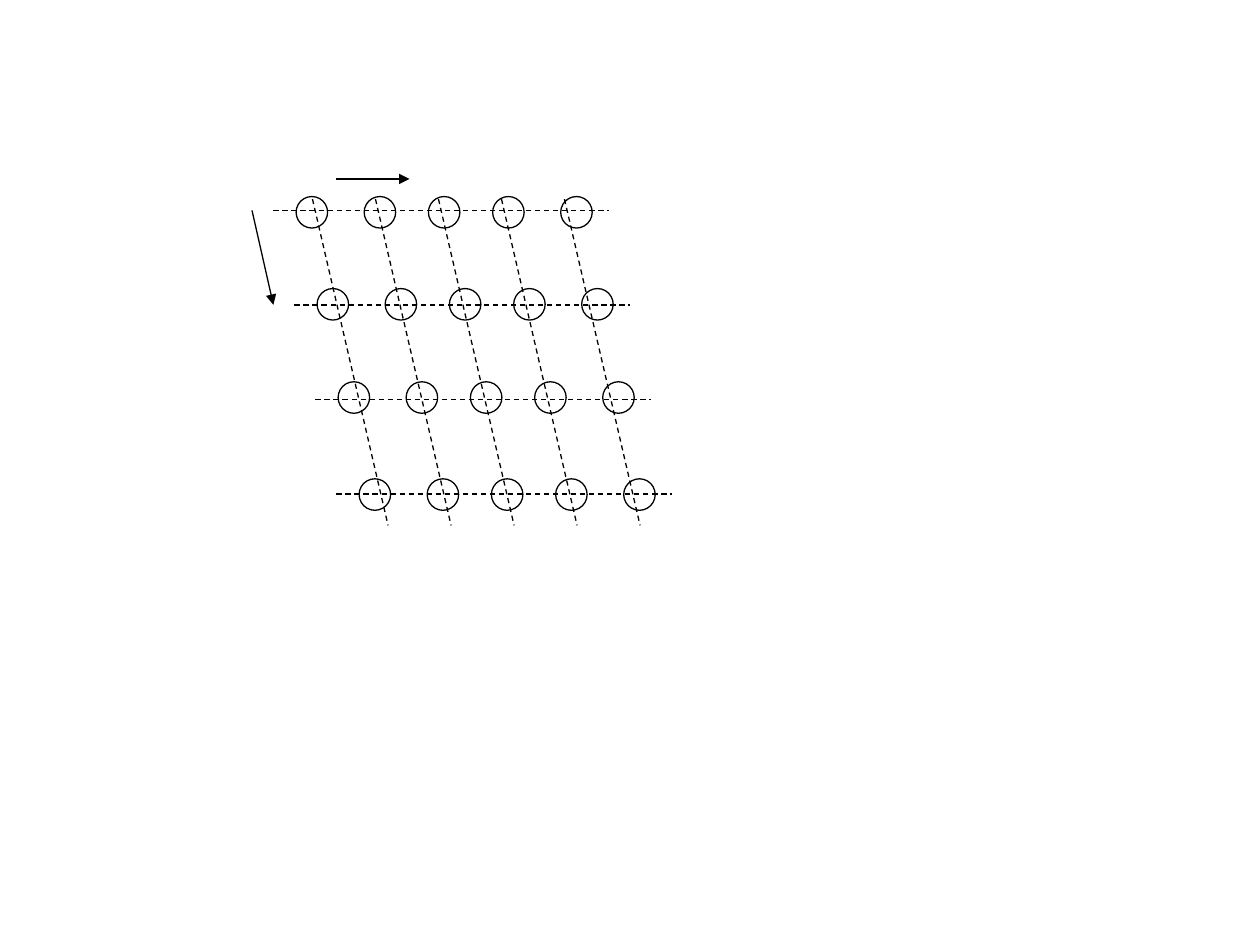
from lxml.etree import SubElement
from pptx import Presentation
from pptx.dml.color import RGBColor
from pptx.enum.dml import MSO_LINE
from pptx.enum.shapes import MSO_CONNECTOR as CONNECTOR, MSO_SHAPE as SHAPE
from pptx.oxml.ns import qn
from pptx.util import Inches, Pt

COLORS = {"ink": "000000", "paper": "FFFFFF"}
ATOM_SIZE = 0.25
ATOM_LEFTS = [2.35, 2.89, 3.4, 3.91, 4.45]
ATOM_TOPS = [1.56, 2.29, 3.03, 3.8]
ROW_SHIFT = 1 / 6
ROW_TOP, ROW_GAP = 1.67, 0.75
ROW_LEFT, ROW_LENGTH = 2.17, 2.66
COLUMN_LEFT, COLUMN_GAP, COLUMN_SLANT = 2.48, 0.5, 0.6
COLUMN_TOP, COLUMN_BOTTOM = 1.58, 4.17


def style_line(line):
    line.color.rgb = RGBColor.from_string(COLORS["ink"])
    line.width = Pt(0.75)


def add_line(slide, start, end):
    ends = [Inches(value) for value in (*start, *end)]
    connector = slide.shapes.add_connector(CONNECTOR.STRAIGHT, *ends)
    style_line(connector.line)
    SubElement(connector._element.spPr, qn("a:effectLst"))
    return connector


def add_lattice_line(slide, start, end):
    add_line(slide, start, end).line.dash_style = MSO_LINE.DASH


def add_vector(slide, start, end):
    vector = add_line(slide, start, end)
    SubElement(vector.line._get_or_add_ln(), qn("a:tailEnd"), type="triangle")


def add_atom(slide, left, top):
    atom = slide.shapes.add_shape(
        SHAPE.OVAL, Inches(left), Inches(top), Inches(ATOM_SIZE), Inches(ATOM_SIZE)
    )
    atom.fill.background()
    atom.shadow.inherit = False
    style_line(atom.line)


def main():
    prs = Presentation()
    prs.slide_width, prs.slide_height = Inches(10), Inches(7.5)
    slide = prs.slides.add_slide(prs.slide_layouts[6])
    background = slide.background.fill
    background.solid()
    background.fore_color.rgb = RGBColor.from_string(COLORS["paper"])

    for row, atom_top in enumerate(ATOM_TOPS):
        shift = row * ROW_SHIFT
        left, y = ROW_LEFT + shift, ROW_TOP + row * ROW_GAP
        add_lattice_line(slide, (left, y), (left + ROW_LENGTH, y))
        for atom_left in ATOM_LEFTS:
            add_atom(slide, atom_left + shift, atom_top)

    for column in range(len(ATOM_LEFTS)):
        x = COLUMN_LEFT + column * COLUMN_GAP
        add_lattice_line(slide, (x, COLUMN_TOP), (x + COLUMN_SLANT, COLUMN_BOTTOM))

    add_vector(slide, (2.67, 1.42), (3.25, 1.42))
    add_vector(slide, (2, 1.67), (2.17, 2.42))
    prs.save("out.pptx")


if __name__ == "__main__":
    main()
